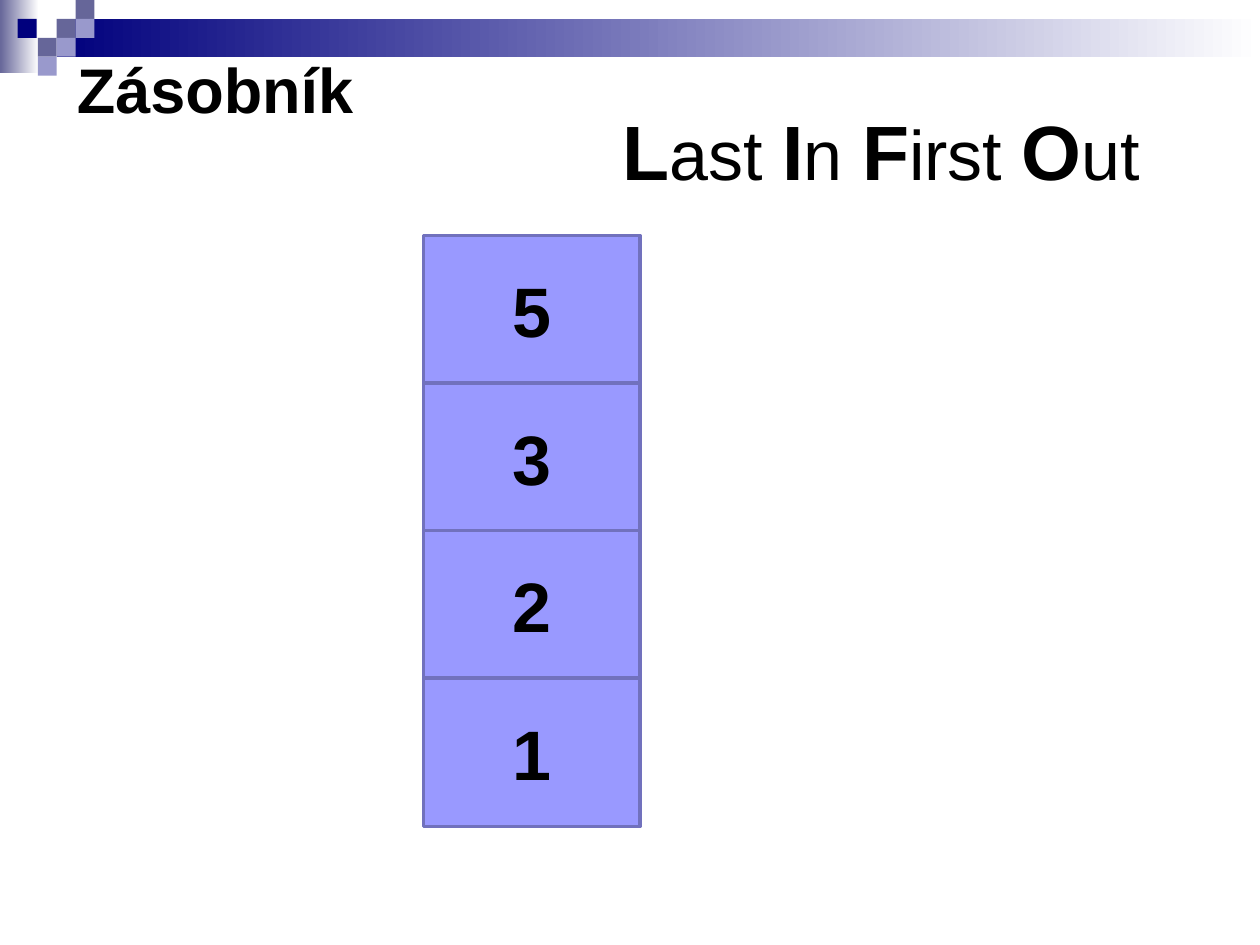
from lxml.etree import SubElement
from pptx import Presentation
from pptx.dml.color import RGBColor
from pptx.enum.shapes import MSO_SHAPE
from pptx.enum.text import MSO_ANCHOR, MSO_AUTO_SIZE, PP_ALIGN
from pptx.oxml.ns import qn
from pptx.util import Pt

PX = 9144  # 100 px to the inch


def add_block(left, top, width, height, *colors):
    """Add a rectangle with a solid fill, or a left-to-right gradient for two colors."""
    block = slide.shapes.add_shape(
        MSO_SHAPE.RECTANGLE, left * PX, top * PX, width * PX, height * PX)
    block.shadow.inherit = False
    block.line.fill.background()
    if len(colors) == 1:
        block.fill.solid()
        block.fill.fore_color.rgb = RGBColor.from_string(colors[0])
    else:
        block.fill.gradient()
        block.fill.gradient_angle = 0
        for stop, color in zip(block.fill.gradient_stops, colors):
            stop.color.rgb = RGBColor.from_string(color)
    return block


def add_text(paragraph, text, size=40, bold=True, color="000000", align=PP_ALIGN.LEFT):
    paragraph.alignment = align
    run = paragraph.add_run()
    run.text = text
    run.font.name = "Arial"
    run.font.size = Pt(size)
    run.font.bold = bold
    run.font.color.rgb = RGBColor.from_string(color)


prs = Presentation()
prs.slide_width, prs.slide_height = 1000 * PX, 750 * PX
slide = prs.slides.add_slide(prs.slide_layouts[1])
title, motto = slide.placeholders

# Header band with its checker squares
add_block(0, 0, 31, 58, "666699", "FFFFFF")
add_block(45, 15, 955, 30, "00007D", "FFFFFF")
SQUARE = 15
for left, top, color in [
    (45, 15, "666699"), (60, 0, "666699"), (60, 15, "9999CC"),
    (30, 30, "666699"), (14, 15, "00007D"), (45, 30, "9999CC"),
    (30, 45, "9999CC"),
]:
    add_block(left, top, SQUARE, SQUARE, color)

# Title, in front of the band
title.element.getparent().append(title.element)
title.left, title.top, title.width, title.height = 51 * PX, 31 * PX, 947 * PX, 79 * PX
title.text_frame.auto_size = MSO_AUTO_SIZE.NONE
title.text_frame.vertical_anchor = MSO_ANCHOR.MIDDLE
add_text(title.text_frame.paragraphs[0], "Zásobník", size=36)

# Stack, top item first
STACK_TOP, ITEM_STEP = 187, 117
for level, value in enumerate(["5", "3", "2", "1"]):
    item = add_block(336, STACK_TOP + level * ITEM_STEP, 172, 118, "9999FF")
    item.line.color.rgb = RGBColor.from_string("7171BD")
    item.line.width = Pt(2)
    item.text_frame.vertical_anchor = MSO_ANCHOR.MIDDLE
    add_text(item.text_frame.paragraphs[0], value, align=PP_ALIGN.CENTER)

# LIFO motto with emphasised initials
motto.element.getparent().append(motto.element)
motto.left, motto.top, motto.width, motto.height = 484 * PX, 70 * PX, 516 * PX, 94 * PX
motto.text_frame.auto_size = MSO_AUTO_SIZE.NONE
motto.text_frame.margin_top = 12 * PX
motto_line = motto.text_frame.paragraphs[0]
motto_line.space_before = Pt(0)
properties = motto_line._p.get_or_add_pPr()
properties.set("marL", str(38 * PX))
properties.set("indent", str(-38 * PX))
SubElement(properties, qn("a:buNone"))
for initial, rest in [("L", "ast "), ("I", "n "), ("F", "irst "), ("O", "ut")]:
    add_text(motto_line, initial, size=44)
    add_text(motto_line, rest, bold=False)

prs.save("out.pptx")
